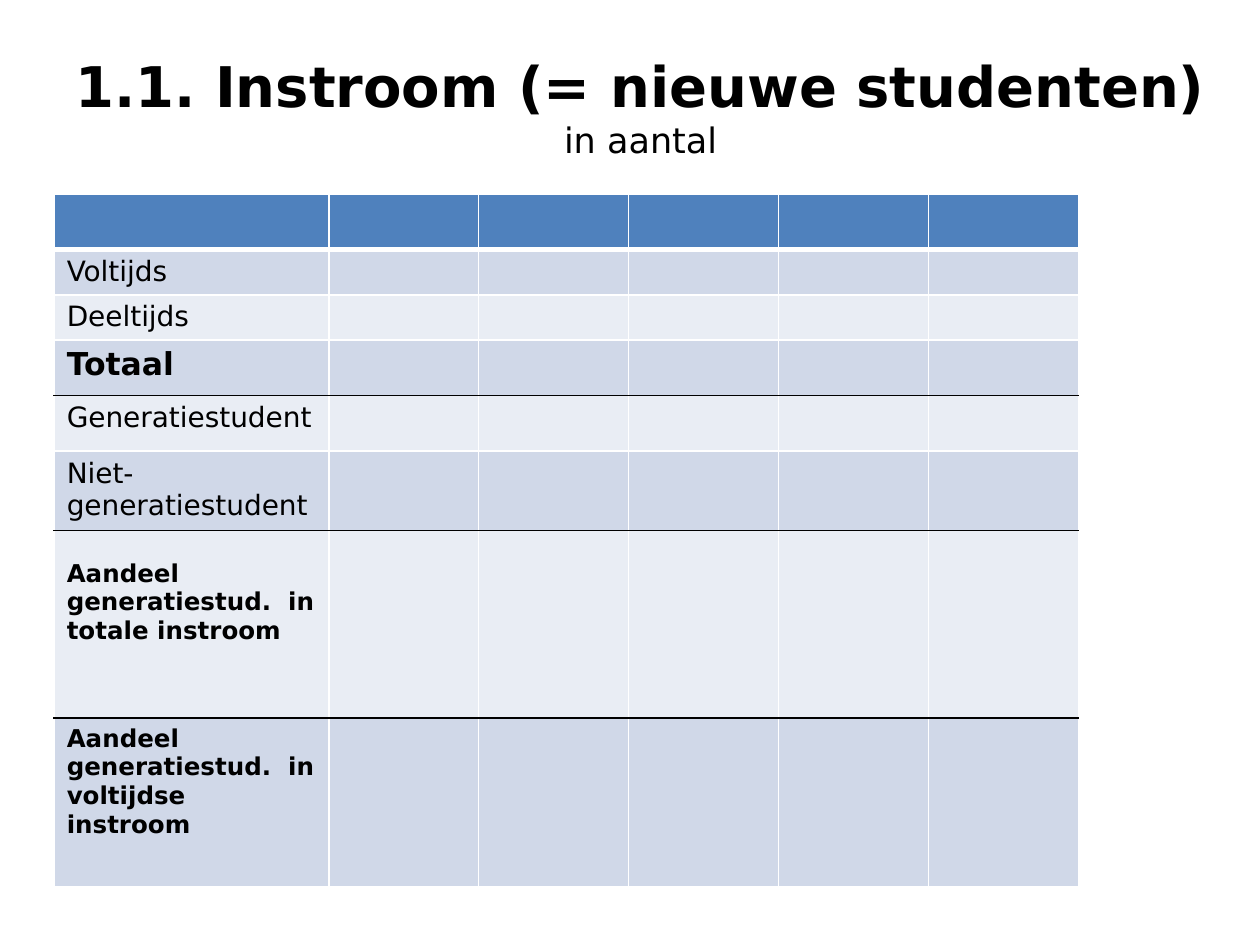
from lxml import etree
from pptx import Presentation
from pptx.dml.color import RGBColor
from pptx.enum.text import MSO_ANCHOR, MSO_AUTO_SIZE, PP_ALIGN
from pptx.oxml.ns import qn
from pptx.util import Inches, Pt

TOP = MSO_ANCHOR.TOP
NO_FIT = MSO_AUTO_SIZE.NONE
CENTER = PP_ALIGN.CENTER
FONT = "DejaVu Sans"
COLORS = {
    "text": "000000",
    "header": "4F81BD",
    "dark_band": "D0D8E8",
    "light_band": "E9EDF4",
    "grid": "FFFFFF",
    "rule": "000000",
}
COL_WIDTHS = [2.18] + [1.19] * 5
# label, row height, text size, bold, top margin
ROWS = [
    ("", 0.44, 16, False, 0.05),
    ("Voltijds", 0.36, 16, False, 0.05),
    ("Deeltijds", 0.36, 16, False, 0.05),
    ("Totaal", 0.44, 18, True, 0.05),
    ("Generatiestudent", 0.44, 16, False, 0.05),
    ("Niet-generatiestudent", 0.63, 16, False, 0.05),
    ("Aandeel generatiestud.  in totale instroom", 1.49, 14, True, 0.23),
    ("Aandeel generatiestud.  in voltijdse instroom", 1.34, 14, True, 0.05),
]
RULED_ROWS = {3, 5, 6}  # rows with a black line below them


def format_runs(p, size, bold):
    """Give every run of a paragraph the slide font."""
    for r in p.runs:
        r.font.name = FONT
        r.font.size = Pt(size)
        r.font.bold = bold
        r.font.color.rgb = RGBColor.from_string(COLORS["text"])


def add_title(s, lines):
    """Fill the title placeholder with (text, size, bold) lines."""
    sp = s.shapes.title
    sp.left, sp.top = Inches(0.28), Inches(0.36)
    sp.width, sp.height = Inches(9.61), Inches(0.98)
    tf = sp.text_frame
    tf.word_wrap = True
    tf.auto_size = NO_FIT
    tf.vertical_anchor = TOP
    tf.text = "\n".join(text for text, _, _ in lines)
    for p, (_, size, bold) in zip(tf.paragraphs, lines):
        p.alignment = CENTER
        p.space_before = Pt(0)
        format_runs(p, size, bold)


def set_border(cell, side, color, width=1):
    """Draw one cell border; side is L, R, T or B."""
    tc_pr = cell._tc.get_or_add_tcPr()
    ln = etree.SubElement(tc_pr, qn(f"a:ln{side}"), w=str(Pt(width)))
    fill = etree.SubElement(ln, qn("a:solidFill"))
    etree.SubElement(fill, qn("a:srgbClr"), val=COLORS[color])


def line_below(row):
    """Return colour name and width of the line under a row."""
    if row == 0:
        return "grid", 3
    return ("rule" if row in RULED_ROWS else "grid"), 1


def format_cell(cell, row):
    """Set borders and band fill of a cell."""
    set_border(cell, "L", "grid")
    set_border(cell, "R", "grid")
    set_border(cell, "T", *(line_below(row - 1) if row else ("grid", 1)))
    set_border(cell, "B", *line_below(row))
    band = "header" if row == 0 else "dark_band" if row % 2 else "light_band"
    cell.fill.solid()
    cell.fill.fore_color.rgb = RGBColor.from_string(COLORS[band])


def set_cell_text(cell, text, size, bold):
    """Write a cell label, or size an empty cell so its row stays low."""
    p = cell.text_frame.paragraphs[0]
    if text:
        p.text = text
        format_runs(p, size, bold)
    else:
        etree.SubElement(p._p, qn("a:endParaRPr"), sz="1200")


def add_intake_table(s):
    """Add the student intake table."""
    height = sum(row[1] for row in ROWS)
    table = s.shapes.add_table(
        len(ROWS), len(COL_WIDTHS), Inches(0.43), Inches(1.54),
        Inches(sum(COL_WIDTHS)), Inches(height)).table
    for column, width in zip(table.columns, COL_WIDTHS):
        column.width = Inches(width)
    for i, (label, row_height, size, bold, margin) in enumerate(ROWS):
        table.rows[i].height = Inches(row_height)
        for j in range(len(COL_WIDTHS)):
            cell = table.cell(i, j)
            cell.margin_top = Inches(margin)
            format_cell(cell, i)
            set_cell_text(cell, "" if j else label, size, bold)


def main():
    """Build the slide and save it."""
    prs = Presentation()
    prs.slide_width, prs.slide_height = Inches(10), Inches(7.5)
    s = prs.slides.add_slide(prs.slide_layouts[5])
    add_title(s, [("1.1. Instroom (= nieuwe studenten)", 32, True),
                  ("in aantal", 20, False)])
    add_intake_table(s)
    prs.save("out.pptx")


main()
